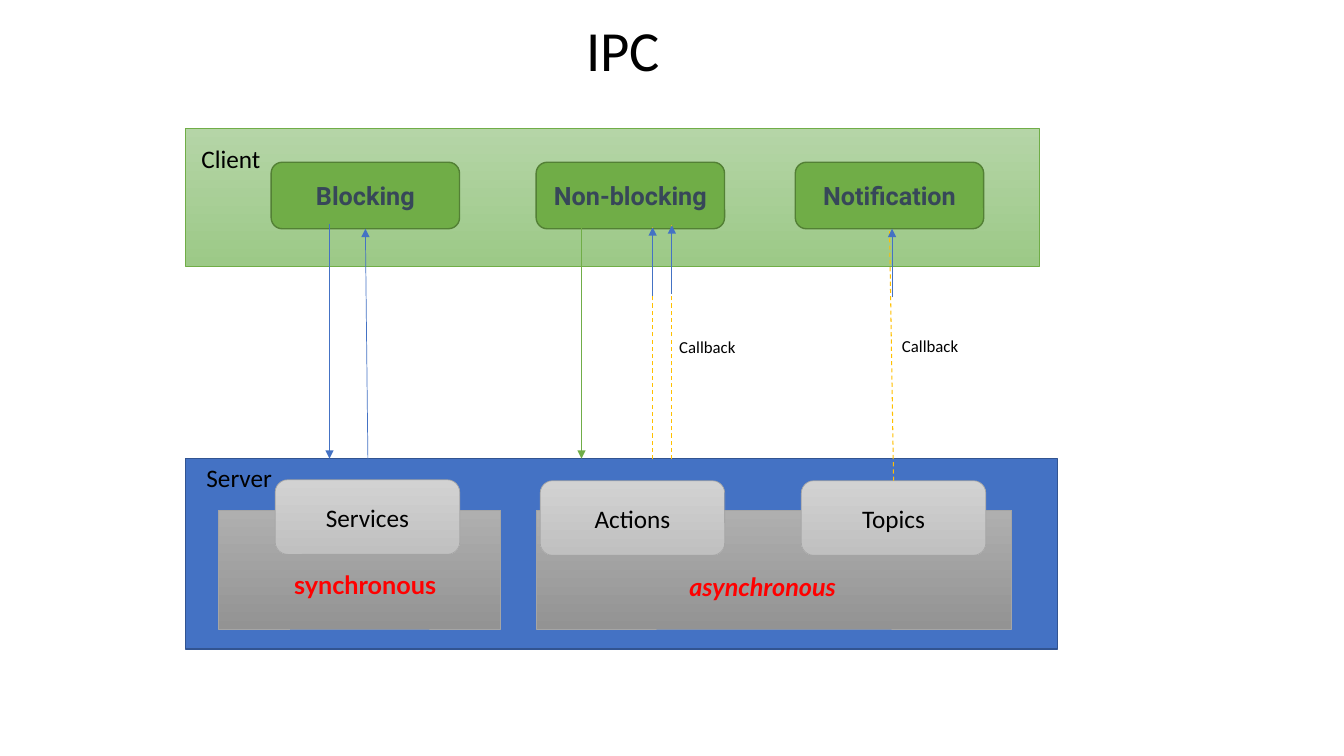
from lxml.etree import SubElement
from pptx import Presentation
from pptx.dml.color import RGBColor
from pptx.enum.dml import MSO_LINE
from pptx.enum.shapes import MSO_CONNECTOR, MSO_SHAPE
from pptx.enum.text import MSO_ANCHOR, PP_ALIGN
from pptx.oxml.ns import qn
from pptx.util import Pt

BLACK, RED, SLATE = "000000", "FF0000", "374759"
GREEN, BLUE, AMBER, GRAY = "70AD47", "4472C4", "FFC000", "A5A5A5"
CLIENT_FILL = ("B5D5A7", "9CC987")
PANEL_FILL = ("AFAFAF", "939393")
KIND_FILL = ("D2D2D2", "C0C0C0")
BOTTOM, TOP = 2, 0


def paint(color_format, color):
    color_format.rgb = RGBColor.from_string(color)


def write(shape, text, size, font="Calibri", color=BLACK, bold=False, italic=False):
    shape.text_frame.text = text
    para = shape.text_frame.paragraphs[0]
    for span in para.runs:
        span.font.size = Pt(size)
        span.font.name = font
        span.font.bold = bold
        span.font.italic = italic
        paint(span.font.color, color)
    return para


def add_title(page, text):
    title = page.shapes.title
    title.left, title.top, title.width, title.height = Pt(31), Pt(14.4), Pt(828), Pt(46.8)
    para = write(title, text, 40.5)
    para.alignment = PP_ALIGN.CENTER
    para.line_spacing = 0.7
    title.text_frame.vertical_anchor = MSO_ANCHOR.BOTTOM


def add_box(page, kind, place, fill, line, weight=0.5):
    box = page.shapes.add_shape(kind, *[Pt(length) for length in place])
    box.shadow.inherit = False
    if isinstance(fill, tuple):
        box.fill.gradient()
        box.fill.gradient_angle = 270
        for stop, color, position in zip(box.fill.gradient_stops, fill, (0, 1)):
            paint(stop.color, color)
            stop.position = position
    else:
        box.fill.solid()
        paint(box.fill.fore_color, fill)
    paint(box.line.color, line)
    box.line.width = Pt(weight)
    return box


def add_named_box(page, text, place, fill, line, weight=0.5, **style):
    box = add_box(page, MSO_SHAPE.ROUNDED_RECTANGLE, place, fill, line, weight)
    write(box, text, 18, **style).alignment = PP_ALIGN.CENTER
    box.text_frame.vertical_anchor = MSO_ANCHOR.MIDDLE
    return box


def add_label(page, text, place, size=18, **style):
    label = page.shapes.add_textbox(*[Pt(length) for length in place])
    label.text_frame.word_wrap = True
    write(label, text, size, **style)


def add_line(page, start, end, color, dashed=False):
    points = [Pt(length) for length in start + end]
    line = page.shapes.add_connector(MSO_CONNECTOR.STRAIGHT, *points)
    paint(line.line.color, color)
    line.line.width = Pt(0.75 if dashed else 0.5)
    if dashed:
        line.line.dash_style = MSO_LINE.DASH
    else:
        SubElement(line.line._get_or_add_ln(), qn("a:tailEnd"), type="triangle")
    SubElement(line._element.spPr, qn("a:effectLst"))
    return line


def main():
    deck = Presentation()
    deck.slide_width, deck.slide_height = Pt(960), Pt(540)
    page = deck.slides.add_slide(deck.slide_layouts[5])
    add_title(page, "IPC")

    add_box(page, MSO_SHAPE.RECTANGLE, (132.5, 91.4, 609.8, 98.6), CLIENT_FILL, GREEN)
    add_box(page, MSO_SHAPE.RECTANGLE, (132.5, 327.6, 622.8, 136.1), BLUE, "325491", 1)
    add_label(page, "Client", (136.8, 98.6, 60.5, 28.8))
    add_label(page, "Server", (140.4, 326.9, 90.7, 28.8))

    calls = {}
    for name, left in (("Blocking", 193.7), ("Non-blocking", 383), ("Notification", 568.1)):
        calls[name] = add_named_box(page, name, (left, 115.9, 134.6, 47.5), GREEN, "538035", 1,
                                    font="Roboto", color=SLATE, bold=True)

    for left, width in ((156.2, 201.6), (383, 339.8)):
        add_box(page, MSO_SHAPE.RECTANGLE, (left, 364.3, width, 85), PANEL_FILL, GRAY)

    kinds = {}
    for name, left, top in (("Services", 196.6, 342.7), ("Actions", 385.9, 343.4),
                            ("Topics", 572.4, 343.4)):
        kinds[name] = add_named_box(page, name, (left, top, 131.8, 53.3), KIND_FILL, GRAY)

    add_label(page, "synchronous", (203, 403.2, 152, 28.8),
              font="Lato", color=RED, bold=True)
    add_label(page, "asynchronous", (485.3, 404.6, 149.8, 28.8),
              font="Lato", color=RED, bold=True, italic=True)

    add_line(page, (235.4, 159.8), (235.4, 327.6), BLUE)
    reply = add_line(page, (262.8, 329), (261, 163.4), BLUE)
    reply.end_connect(calls["Blocking"], BOTTOM)
    add_line(page, (415.4, 159.8), (415.4, 327.6), GREEN)

    topic_feed = add_line(page, (638.3, 343.4), (635.4, 163.4), AMBER, dashed=True)
    topic_feed.begin_connect(kinds["Topics"], TOP)
    topic_feed.end_connect(calls["Notification"], BOTTOM)
    add_line(page, (637.2, 212.4), (637.2, 163.4), BLUE)

    for left, top in ((466.2, 162.4), (479.9, 161)):
        add_line(page, (left, 328), (left, top), AMBER, dashed=True)
        add_line(page, (left, top + 49), (left, top), BLUE)

    for left, top in ((478.1, 236.9), (637.2, 236.2)):
        add_label(page, "Callback", (left, top, 66.2, 21.6), 12)

    deck.save("out.pptx")


if __name__ == "__main__":
    main()
